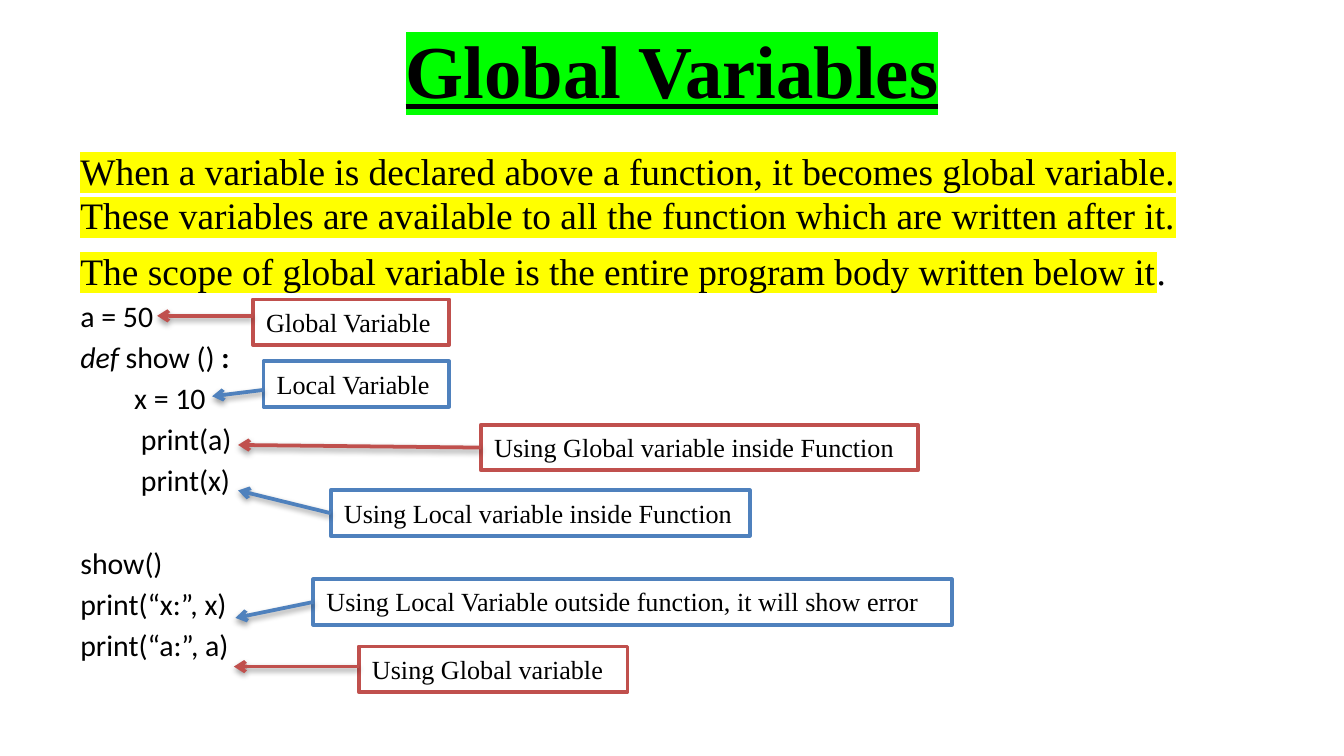
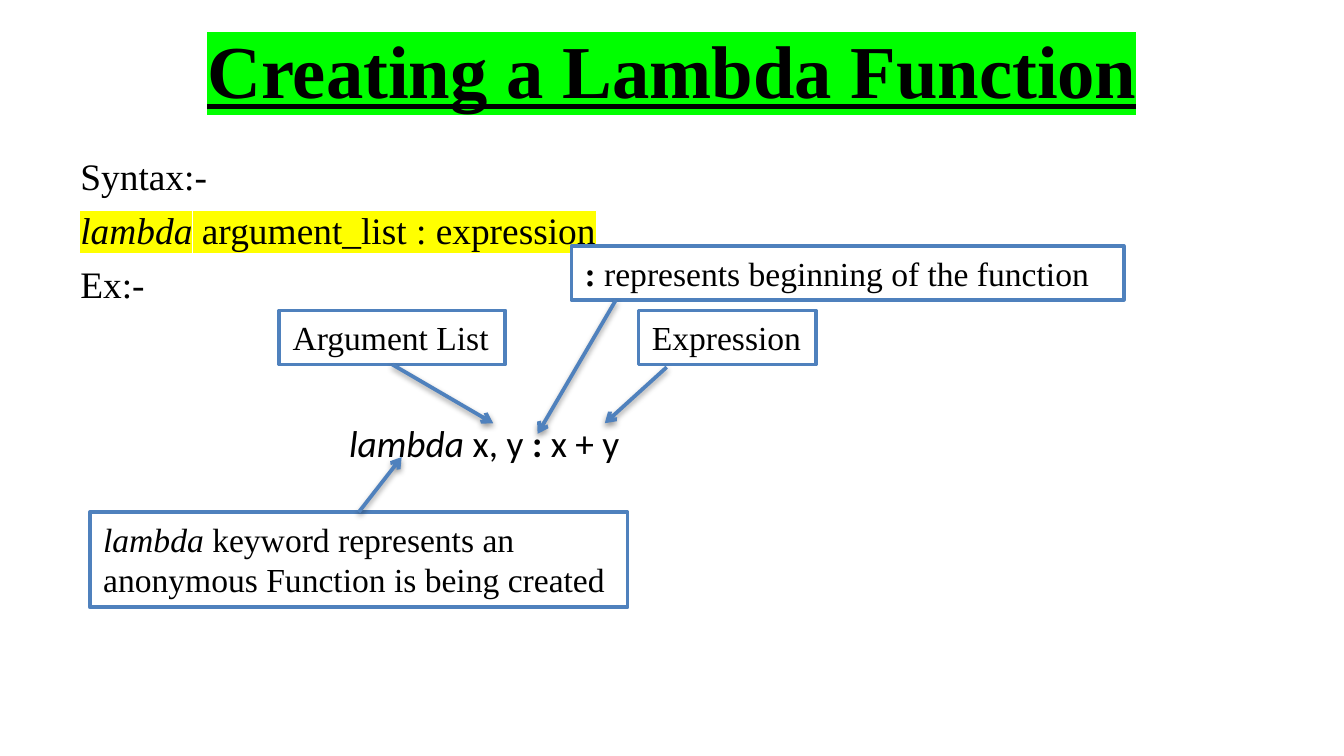
from pptx import Presentation
from pptx.dml.color import RGBColor as RGB
from pptx.enum.shapes import MSO_CONNECTOR as Link, MSO_SHAPE as Shape
from pptx.enum.text import MSO_ANCHOR as Anchor, MSO_AUTO_SIZE as Fit, PP_ALIGN as Align
from pptx.oxml import parse_xml
from pptx.oxml.ns import nsdecls, qn
from pptx.util import Cm, Pt

BLACK = RGB(0x00, 0x00, 0x00)
WHITE = RGB(0xFF, 0xFF, 0xFF)
BLUE = RGB(0x4F, 0x81, 0xBD)
RED = RGB(0xC0, 0x50, 0x4D)
GREEN = RGB(0x00, 0xFF, 0x00)
YELLOW = RGB(0xFF, 0xFF, 0x00)
SERIF, SANS = "Times New Roman", "Calibri"
TITLE = (1.27, 0.1, 22.86, 2.39)
ITALIC, BOLD = {"italic": True}, {"bold": True}
MARK = {"mark": YELLOW}
SHADOW = (
    f'<a:effectLst {nsdecls("a")}><a:outerShdw blurRad="40000" dist="20000" '
    'dir="5400000" rotWithShape="0"><a:srgbClr val="000000">'
    '<a:alpha val="38000"/></a:srgbClr></a:outerShdw></a:effectLst>'
)


def style(run, size=20, face=SERIF, bold=False, italic=False, line=False, mark=None):
    font = run.font
    font.size, font.name = Pt(size), face
    font.bold, font.italic, font.underline = bold, italic, line
    font.color.rgb = BLACK
    if mark is not None:
        fill = font.fill._xPr.find(qn("a:solidFill"))
        fill.addnext(parse_xml(
            f'<a:highlight {nsdecls("a")}><a:srgbClr val="{mark}"/></a:highlight>'))


def write(frame, runs, new=False, gap=0, indent=0, align=Align.LEFT, **look):
    """Write one paragraph; each run is a string or a (string, format) pair."""
    para = frame.add_paragraph() if new else frame.paragraphs[0]
    para.alignment = align
    para.space_before = Pt(gap)
    if indent:
        para._p.get_or_add_pPr().set("marL", str(Cm(indent)))
    for item in [runs] if isinstance(runs, str) else runs:
        text, extra = (item, {}) if isinstance(item, str) else item
        run = para.add_run()
        run.text = text
        style(run, **{**look, **extra})


def frame_in(slide, box):
    frame = slide.shapes.add_textbox(*map(Cm, box)).text_frame
    frame.word_wrap = True
    return frame


def title(slide, text, box=TITLE):
    frame = frame_in(slide, box)
    frame.vertical_anchor = Anchor.MIDDLE
    write(frame, text, align=Align.CENTER, size=40, bold=True, line=True, mark=GREEN)


def body(slide, box, paras):
    frame = frame_in(slide, box)
    for i, (runs, look) in enumerate(paras):
        write(frame, runs, new=i > 0, **look)


def note(slide, box, runs, start, tip, color=BLUE, size=18, wrap=True):
    """Framed note with an arrow; start is a side number or an offset in the box."""
    left, top = box[:2]
    rect = slide.shapes.add_shape(Shape.RECTANGLE, *map(Cm, box))
    rect.shadow.inherit = False
    rect.fill.solid()
    rect.fill.fore_color.rgb = WHITE
    rect.line.color.rgb, rect.line.width = color, Pt(2)
    frame = rect.text_frame
    frame.word_wrap, frame.auto_size = wrap, Fit.SHAPE_TO_FIT_TEXT
    frame.vertical_anchor = Anchor.TOP
    write(frame, runs, size=size)

    # Arrow from the note to the code
    side = isinstance(start, int)
    dx, dy = (0, 0) if side else start
    arrow = slide.shapes.add_connector(
        Link.STRAIGHT, Cm(left + dx), Cm(top + dy), Cm(left + tip[0]), Cm(top + tip[1]))
    if side:
        arrow.begin_connect(rect, start)
    arrow.line.color.rgb, arrow.line.width = color, Pt(2)
    arrow.line._get_or_add_ln().append(
        parse_xml(f'<a:tailEnd {nsdecls("a")} type="arrow"/>'))
    arrow._element.spPr.append(parse_xml(SHADOW))


def scope(slide):
    title(slide, "Global Variables")
    code = {"size": 16, "face": SANS, "gap": 2.8}
    body(slide, (1.27, 2.67, 22.86, 10.69), [
        ("When a variable is declared above a function, it becomes global variable. "
         "These variables are available to all the function which are written after it.",
         MARK),
        ([("The scope of global variable is the entire program body written below it",
           MARK), "."], {"gap": 5.5}),
        ("a = 50", code),
        ([("def", ITALIC), " show () ", (":", BOLD)], code),
        ("        x = 10", code),
        ("         print(a)", code),
        ("         print(x)", code),
        ("show()", {**code, "gap": 25.1}),
        ("print(“x:”, x)", code),
        ("print(“a:”, a)", code),
    ])
    # Notes: text, colour, left, top, width, arrow start, arrow tip
    for text, color, x, y, wide, start, tip in [
        ("Global Variable", RED, 4.78, 5.66, 3.71, (0, 0.31), (-1.81, 0.31)),
        ("Local Variable", BLUE, 4.98, 6.83, 3.51, (0, 0.54), (-0.97, 0.66)),
        ("Using Global variable inside Function", RED,
         9.09, 8.03, 8.26, 1, (-4.59, 0.38)),
        ("Using Local variable inside Function", BLUE,
         6.25, 9.27, 7.92, 1, (-1.75, 0)),
        ("Using Local Variable outside function, it will show error", BLUE,
         5.92, 10.95, 12.07, 1, (-1.47, 0.73)),
        ("Using Global variable", RED, 6.78, 12.22, 5.08, (0, 0.38), (-2.36, 0.38)),
    ]:
        note(slide, (x, y, wide, 0.86), text, start, tip, color, size=14)


def syntax(slide):
    title(slide, "Creating a Lambda Function")
    body(slide, (1.27, 2.77, 22.86, 9.96), [
        ("Syntax:-", {}),
        ([("lambda", ITALIC), " argument_list : expression"], {"gap": 5, **MARK}),
        ("Ex:-", {"gap": 5}),
        ([("lambda", ITALIC), " x, y ", (":", BOLD), " x + y"],
         {"gap": 61, "indent": 5.08, "face": SANS}),
    ])
    # Notes on each part of the expression
    note(slide, (1.7, 9.68, 10.16, 1.8),
         [("lambda", ITALIC), " keyword represents an anonymous Function is being created"],
         0, (5.89, -1.04))
    for runs, x, y, wide, start, tip in [
        ("Argument List", 5.28, 5.87, 4.27, 2, (4.04, 2.13)),
        ([(":", BOLD), " represents beginning of the function"],
         10.8, 4.65, 10.44, (0.84, 1.02), (-0.64, 3.55)),
        ("Expression", 12.07, 5.87, 3.35, (0.53, 1.07), (-0.64, 2.13)),
    ]:
        note(slide, (x, y, wide, 1.02), runs, start, tip, wrap=False)


def main():
    deck = Presentation()
    deck.slide_width, deck.slide_height = Cm(25.4), Cm(14.29)
    for build in (scope, syntax):
        build(deck.slides.add_slide(deck.slide_layouts[6]))
    deck.save("out.pptx")


if __name__ == "__main__":
    main()
